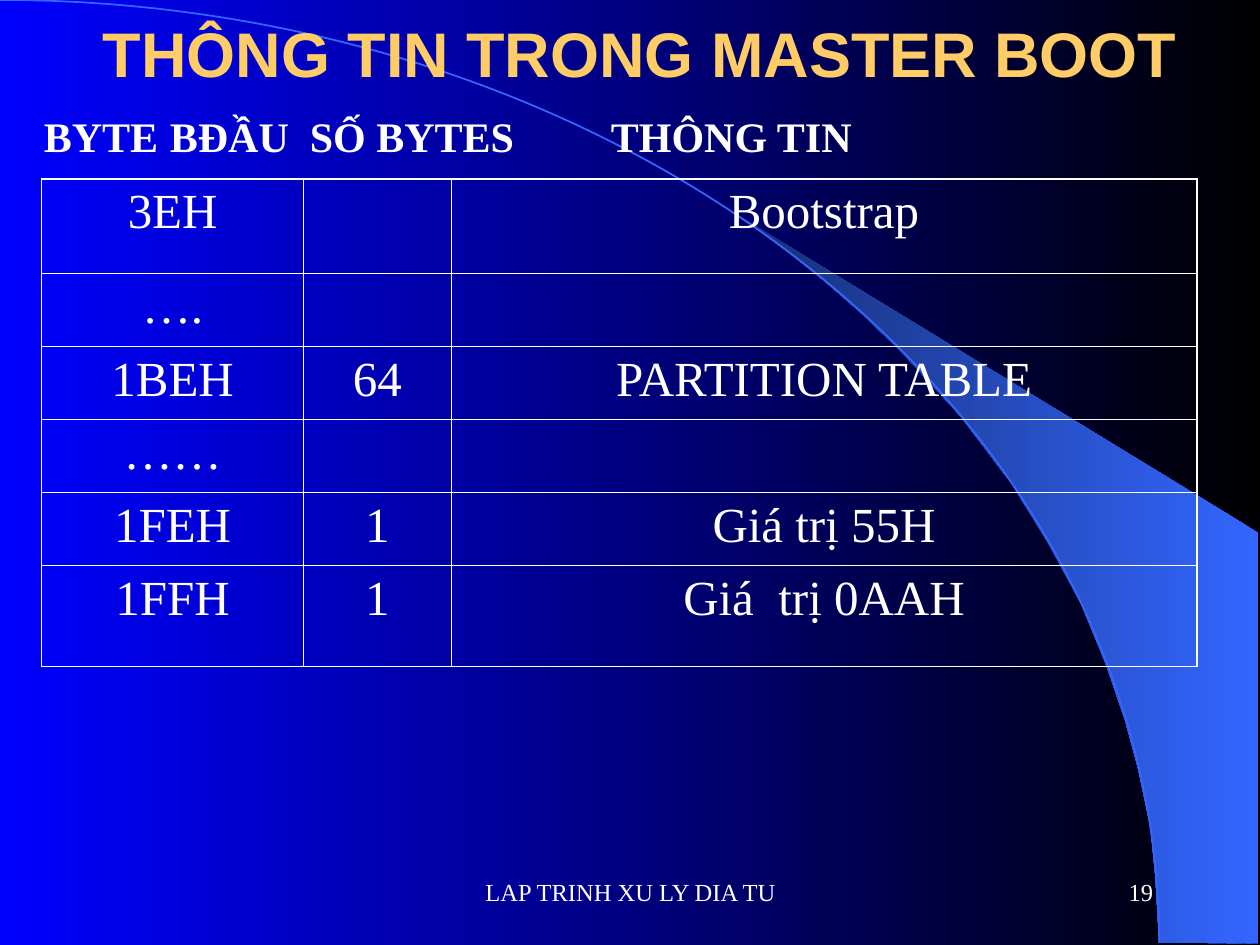
import pptx
import pptx.dml.color
import pptx.enum.shapes
import pptx.enum.text
import pptx.oxml
import pptx.oxml.ns
import pptx.util

Inches = pptx.util.Inches
Pt = pptx.util.Pt
ALIGN = pptx.enum.text.PP_ALIGN
ANCHOR = pptx.enum.text.MSO_ANCHOR

WHITE = "FFFFFF"
BLUE = "3366FF"
SERIF = "Times New Roman"
COLUMNS = [2.08, 1.17, 5.92]
ROW_HEIGHTS = [0.75, 0.58, 0.58, 0.58, 0.58, 0.8]
ROWS = [
    ("3EH", "", "Bootstrap"),
    ("….", "", ""),
    ("1BEH", "64", "PARTITION TABLE"),
    ("……", "", ""),
    ("1FEH", "1", "Giá trị 55H"),
    ("1FFH", "1", "Giá  trị 0AAH"),
]
SWOOSH = [
    (9.2, 7.48), (9.99, 7.49), (9.99, 4.23), (5.89, 1.73), (6.24, 1.99),
    (6.53, 2.22), (6.85, 2.5), (7.16, 2.8), (7.62, 3.3), (8.03, 3.84),
    (8.32, 4.31), (8.58, 4.79), (8.78, 5.28), (8.93, 5.72), (9.03, 6.09),
    (9.13, 6.56), (9.17, 6.96),
]


def rgb(value):
    return pptx.dml.color.RGBColor.from_string(value)


def set_gradient(fill, start, end):
    fill.gradient()
    fill.gradient_angle = 180
    for stop, color in zip(fill.gradient_stops, (start, end)):
        stop.color.rgb = rgb(color)


def write(tf, text, size, align, color=WHITE, font=SERIF, bold=False):
    p = tf.paragraphs[0]
    p.alignment = align
    r = p.add_run()
    r.text = text
    r.font.size = Pt(size)
    r.font.name = font
    r.font.bold = bold
    r.font.color.rgb = rgb(color)


def add_decoration(s):
    points = [(Inches(x), Inches(y)) for x, y in SWOOSH]
    builder = s.shapes.build_freeform(*points[0])
    builder.add_line_segments(points[1:])
    sp = builder.convert_to_shape()
    sp.shadow.inherit = False
    sp.line.fill.background()
    set_gradient(sp.fill, BLUE, "172F75")

    arc = s.shapes.add_shape(pptx.enum.shapes.MSO_SHAPE.ARC,
                             Inches(-9.2), 0, Inches(18.4), Inches(14.97))
    arc.shadow.inherit = False
    arc.fill.background()
    arc.line.color.rgb = rgb(BLUE)
    arc.line.width = Pt(1)


def set_title(s, text):
    sp = s.shapes.title
    sp.element.getparent().append(sp.element)
    sp.left, sp.top = Inches(0.58), 0
    sp.width, sp.height = Inches(9), Inches(0.83)
    tf = sp.text_frame
    tf.auto_size = pptx.enum.text.MSO_AUTO_SIZE.NONE
    tf.vertical_anchor = ANCHOR.MIDDLE
    write(tf, text, 36, ALIGN.CENTER, "FFCC66", "Arial", True)


def add_text(s, text, left, top, width, size, align, anchor, bold=False):
    sp = s.shapes.add_textbox(Inches(left), Inches(top), Inches(width), Inches(0.5))
    tf = sp.text_frame
    tf.word_wrap = True
    tf.vertical_anchor = anchor
    write(tf, text, size, align, bold=bold)


def set_borders(cell, widths):
    tc_pr = cell._tc.get_or_add_tcPr()
    for i, (side, width) in enumerate(zip("LRTB", widths)):
        tc_pr.insert(i, pptx.oxml.parse_xml(
            f'<a:ln{side} {pptx.oxml.ns.nsdecls("a")} w="{Pt(width)}">'
            f'<a:solidFill><a:srgbClr val="{WHITE}"/></a:solidFill></a:ln{side}>'))


def add_byte_table(s):
    last_row, last_col = len(ROWS) - 1, len(COLUMNS) - 1
    table = s.shapes.add_table(len(ROWS), len(COLUMNS), Inches(0.33), Inches(1.42),
                               Inches(sum(COLUMNS)), Inches(sum(ROW_HEIGHTS))).table
    table.first_row = False
    table.horz_banding = False
    for column, width in zip(table.columns, COLUMNS):
        column.width = Inches(width)
    for i, values in enumerate(ROWS):
        table.rows[i].height = Inches(ROW_HEIGHTS[i])
        for j, text in enumerate(values):
            cell = table.cell(i, j)
            cell.fill.background()
            outer = (j == 0, j == last_col, i == 0, i == last_row)
            set_borders(cell, [1.08 if edge else 0.45 for edge in outer])
            if text:
                write(cell.text_frame, text, 28, ALIGN.CENTER)


def main():
    prs = pptx.Presentation()
    prs.slide_width, prs.slide_height = Inches(10), Inches(7.5)
    s = prs.slides.add_slide(prs.slide_layouts[5])
    set_gradient(s.background.fill, "000000", "0000FF")
    add_decoration(s)
    set_title(s, "THÔNG TIN TRONG MASTER BOOT")
    add_text(s, "BYTE \tBĐẦU  SỐ BYTES\t\tTHÔNG TIN", 0.25, 0.83, 9.75,
             24, ALIGN.LEFT, ANCHOR.TOP, True)
    add_byte_table(s)
    add_text(s, "LAP TRINH XU LY DIA TU", 3.42, 6.83, 3.17, 14, ALIGN.CENTER, ANCHOR.MIDDLE)
    add_text(s, "19", 7.17, 6.83, 2.08, 14, ALIGN.RIGHT, ANCHOR.MIDDLE)
    prs.save("out.pptx")


if __name__ == "__main__":
    main()
